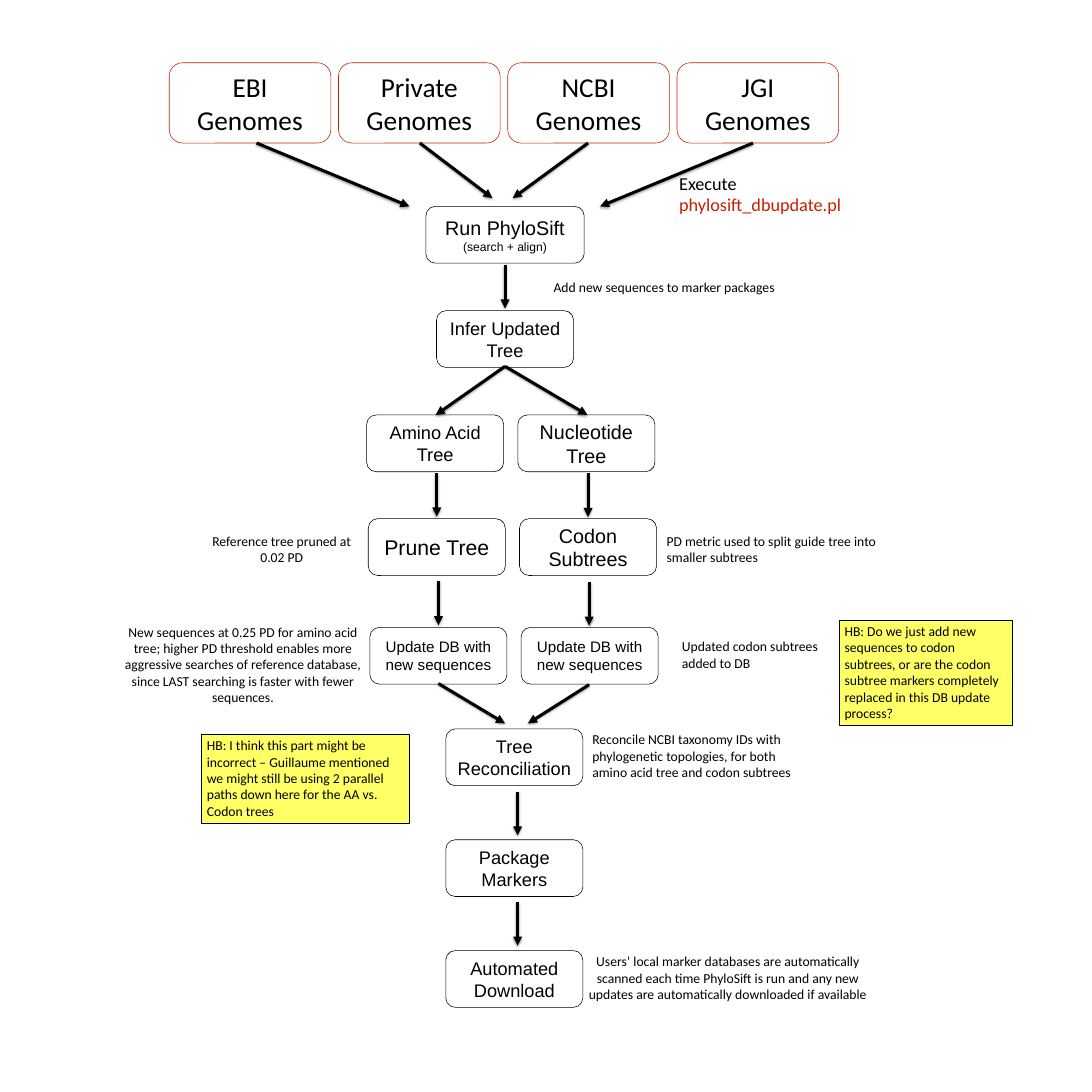
import pptx
import pptx.util
import pptx.dml.color
import pptx.enum.shapes
import pptx.enum.text
import pptx.oxml
import pptx.oxml.ns

SIDE = 20
BLACK, RED, YELLOW = "000000", "CA1E00", "FFFF66"

SOURCES = ["EBI", "Private", "NCBI", "JGI"]
SOURCE_LEFT, SOURCE_TOP, SOURCE_STEP = 3.1, 1.15, 3.1
SOURCE_SIZE = (2.96, 1.47)

STEP_SIZE = (2.51, 1.04)
RUN_SIZE = (2.9, 1.04)
MIDDLE, LOWER = 9.25, 9.42
BRANCH_LEFT, BRANCH_GAP, BRANCH_DRIFT = 7.97, 2.77, 0.03
BRANCH_TOPS = [7.6, 9.5, 11.49]
BRANCHES = [
    [("Amino Acid Tree", 24), ("Nucleotide Tree", 26)],
    [("Prune Tree", 28), ("Codon Subtrees", 26)],
    [("Update DB with new sequences", 20)] * 2,
]
FINAL_TOP, FINAL_STEP = 13.35, 2.03
FINAL_STEPS = ["Tree Reconciliation", "Package Markers", "Automated Download"]

NOTES = [
    ("Add new sequences to marker packages", (9.86, 5.06, 4.61, 0.4), "CENTER"),
    ("Reference tree pruned at 0.02 PD", (3.69, 9.71, 2.94, 0.71), "CENTER"),
    ("PD metric used to split guide tree into smaller subtrees",
     (12.11, 9.71, 4.48, 0.71), "LEFT"),
    ("New sequences at 0.25 PD for amino acid tree; higher PD threshold enables "
     "more aggressive searches of reference database, since LAST searching is "
     "faster with fewer sequences.", (2.15, 11.37, 4.6, 1.62), "CENTER"),
    ("Updated codon subtrees added to DB", (12.39, 11.64, 3.37, 0.71), "LEFT"),
    ("Reconcile NCBI taxonomy IDs with phylogenetic topologies, for both amino "
     "acid tree and codon subtrees", (10.75, 13.34, 4.14, 1.01), "LEFT"),
    ("Users’ local marker databases are automatically scanned each time PhyloSift "
     "is run and any new updates are automatically downloaded if available",
     (10.57, 17.41, 5.52, 1.01), "CENTER"),
]
COMMENTS = [
    ("HB: Do we just add new sequences to codon subtrees, or are the codon subtree "
     "markers completely replaced in this DB update process?",
     (15.37, 11.36, 3.17, 1.92)),
    ("HB: I think this part might be incorrect – Guillaume mentioned we might still "
     "be using 2 parallel paths down here for the AA vs. Codon trees",
     (3.69, 13.45, 3.81, 1.62)),
]

DOWN_LENGTH = 0.8
DOWN_ARROWS = [
    (MIDDLE, 4.85), (8, 8.66), (10.77, 8.67), (8.03, 10.65), (10.79, 10.66),
    (9.48, 14.5), (9.48, 16.52),
]
SLANTED_ARROWS = [
    (4.7, 2.62, 7.5, 3.78), (7.69, 2.62, 9.02, 3.63),
    (10.77, 2.62, 9.39, 3.63), (13.79, 2.62, 10.99, 3.78),
    (MIDDLE, 6.71, 7.98, 7.6), (MIDDLE, 6.71, 10.76, 7.6),
    (8.03, 12.52, MIDDLE, 13.25), (10.79, 12.54, 9.67, 13.25),
]
ARROW_SHADOW = (
    '<a:effectLst %s><a:outerShdw blurRad="39370" dist="20320" dir="5400000" '
    'rotWithShape="0"><a:srgbClr val="000000"><a:alpha val="38000"/></a:srgbClr>'
    '</a:outerShdw></a:effectLst>' % pptx.oxml.ns.nsdecls("a"))
ARROW_HEAD = '<a:tailEnd %s type="triangle"/>' % pptx.oxml.ns.nsdecls("a")


def rgb(color):
    return pptx.dml.color.RGBColor.from_string(color)


def inches(lengths):
    return [pptx.util.Inches(v) for v in lengths]


def write(shape, paragraphs, font, align="CENTER", anchor="MIDDLE"):
    tf = shape.text_frame
    tf.word_wrap = True
    tf.vertical_anchor = pptx.enum.text.MSO_ANCHOR[anchor]
    for i, (text, size) in enumerate(paragraphs):
        p = tf.add_paragraph() if i else tf.paragraphs[0]
        p.text = text
        p.alignment = pptx.enum.text.PP_ALIGN[align]
        p.font.name = font
        p.font.size = pptx.util.Pt(size)
        p.font.color.rgb = rgb(BLACK)
    return tf


def box(at, kind="ROUNDED_RECTANGLE", line=BLACK, fill=None):
    sp = s.shapes.add_shape(pptx.enum.shapes.MSO_SHAPE[kind], *inches(at))
    sp.shadow.inherit = False
    if fill:
        sp.fill.solid()
        sp.fill.fore_color.rgb = rgb(fill)
    else:
        sp.fill.background()
    sp.line.color.rgb = rgb(line)
    sp.line.width = pptx.util.Pt(0.75)
    return sp


def step(center, top, paragraphs, size=STEP_SIZE):
    write(box((center - size[0] / 2, top, *size)), paragraphs, "Arial")


def arrow(ends):
    c = s.shapes.add_connector(pptx.enum.shapes.MSO_CONNECTOR.STRAIGHT, *inches(ends))
    c.line.color.rgb = rgb(BLACK)
    c.line.width = pptx.util.Pt(4)
    c.line._get_or_add_ln().append(pptx.oxml.parse_xml(ARROW_HEAD))
    c._element.spPr.append(pptx.oxml.parse_xml(ARROW_SHADOW))


prs = pptx.Presentation()
prs.slide_width = prs.slide_height = pptx.util.Inches(SIDE)
s = prs.slides.add_slide(prs.slide_layouts[6])

for i, name in enumerate(SOURCES):
    sp = box((SOURCE_LEFT + i * SOURCE_STEP, SOURCE_TOP, *SOURCE_SIZE), line=RED)
    write(sp, [(name, 36), ("Genomes", 36)], "Calibri")

step(MIDDLE, 3.78, [("Run PhyloSift", 26), ("(search + align)", 16)], RUN_SIZE)
step(MIDDLE, 5.69, [("Infer Updated Tree", 24)])
for row, (top, pair) in enumerate(zip(BRANCH_TOPS, BRANCHES)):
    for col, label in enumerate(pair):
        step(BRANCH_LEFT + col * BRANCH_GAP + row * BRANCH_DRIFT, top, [label])
for i, label in enumerate(FINAL_STEPS):
    step(LOWER, FINAL_TOP + i * FINAL_STEP, [(label, 24)])

for x, y in DOWN_ARROWS:
    arrow((x, y, x, y + DOWN_LENGTH))
for ends in SLANTED_ARROWS:
    arrow(ends)

for text, at, align in NOTES:
    write(s.shapes.add_textbox(*inches(at)), [(text, 18)], "Calibri", align, "TOP")
for text, at in COMMENTS:
    write(box(at, "RECTANGLE", fill=YELLOW), [(text, 18)], "Calibri", "LEFT", "TOP")

command = s.shapes.add_textbox(*inches((12.34, 3.1, 3.96, 0.91)))
tf = write(command, [("Execute ", 24)], "Calibri", "LEFT", "TOP")
r = tf.paragraphs[0].add_run()
r.text = "phylosift_dbupdate.pl"
r.font.color.rgb = rgb(RED)

prs.save("out.pptx")
